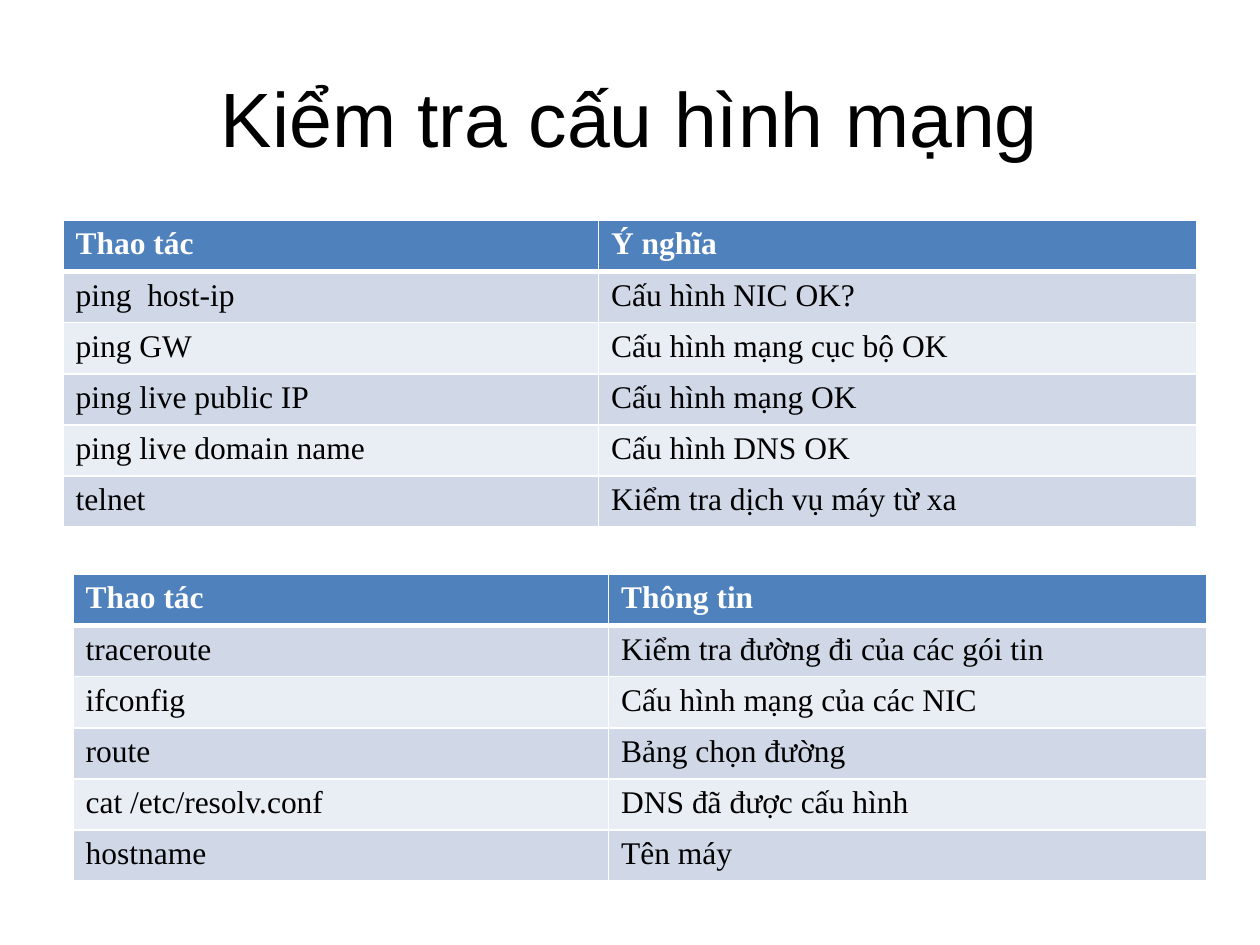
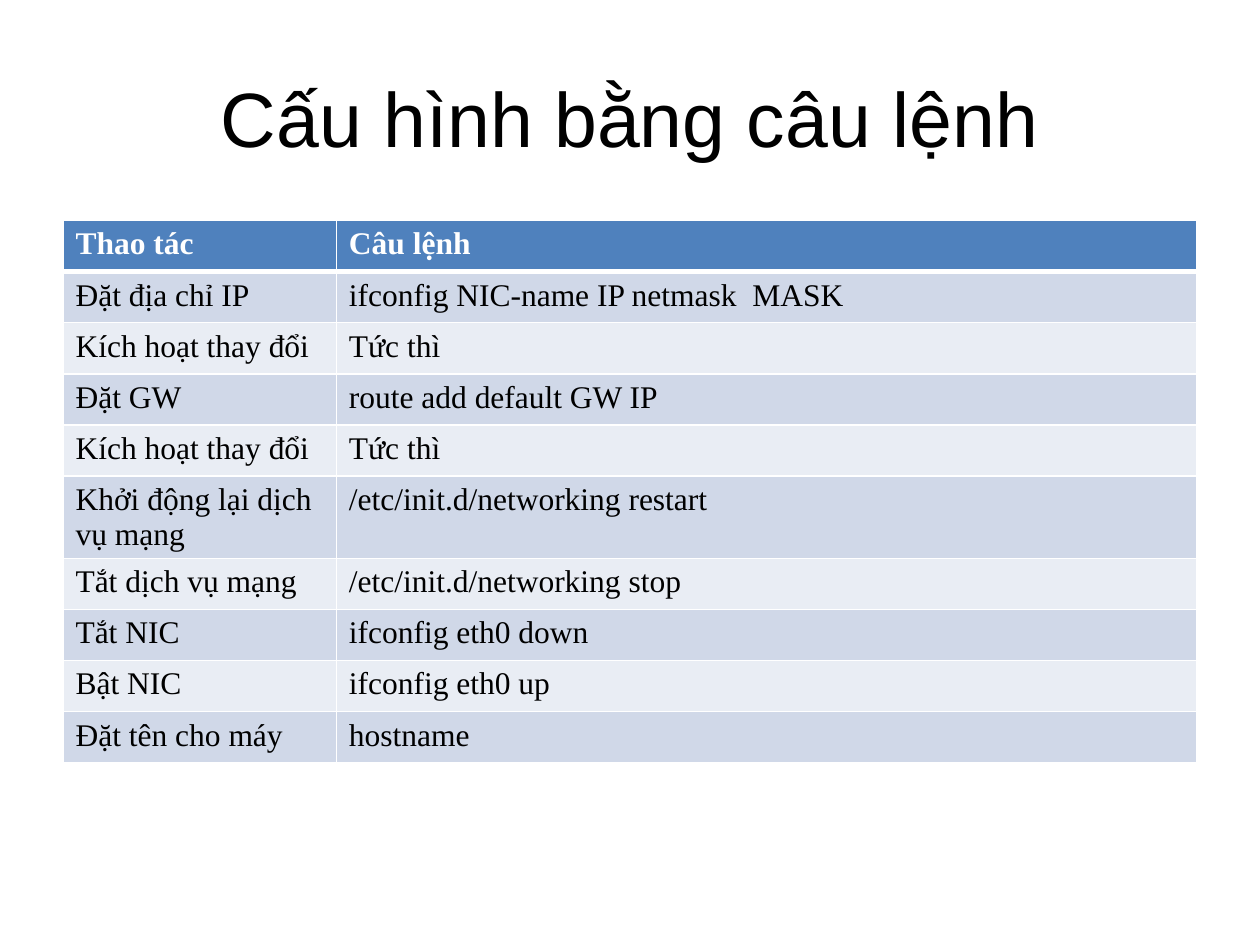
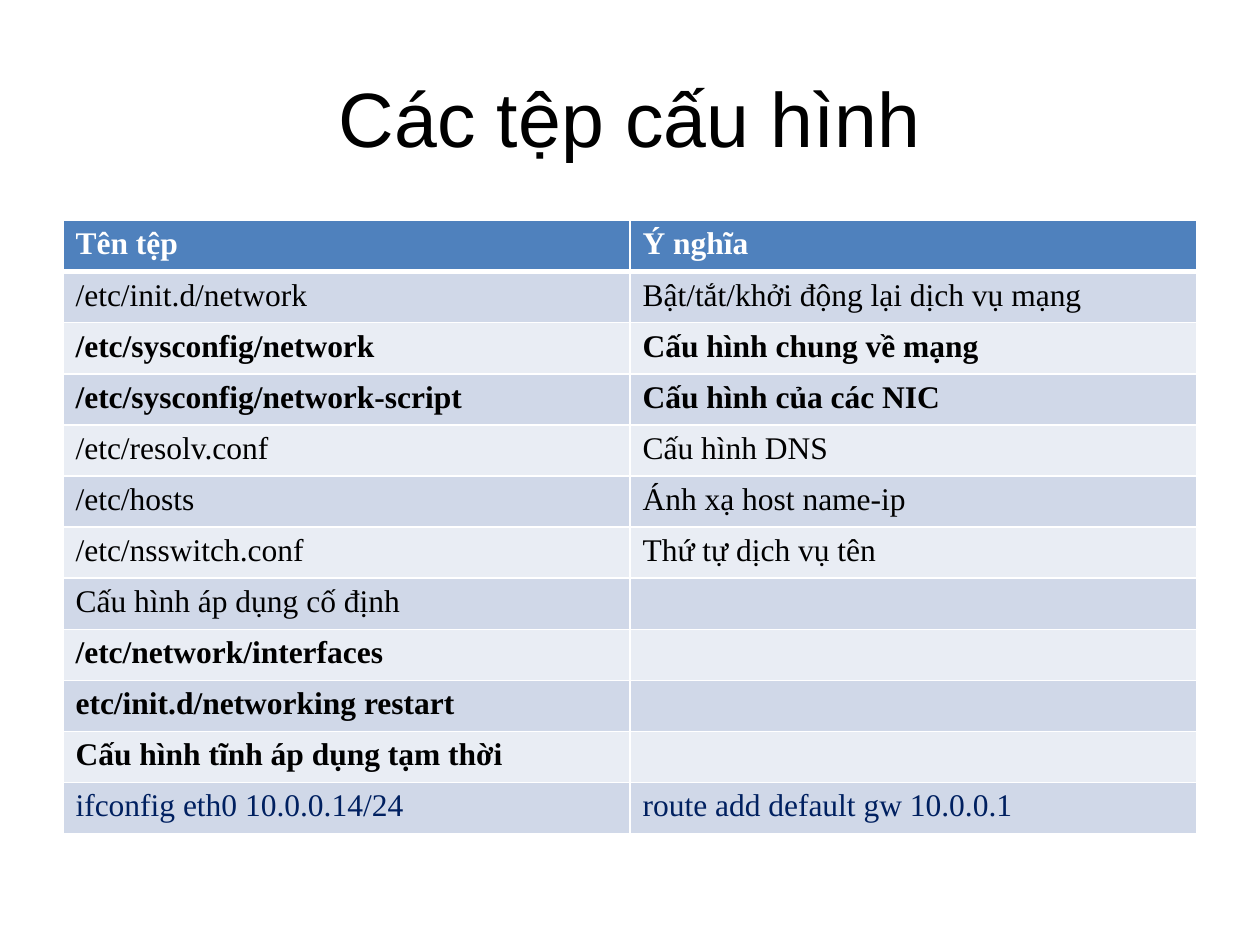
from dataclasses import dataclass

import pptx
import pptx.dml.color
import pptx.enum.text
import pptx.oxml
import pptx.oxml.ns
import pptx.presentation
import pptx.slide
import pptx.table
import pptx.util

Inches = pptx.util.Inches
Pt = pptx.util.Pt
RGBColor = pptx.dml.color.RGBColor


@dataclass(frozen=True)
class Theme:
    title_font: str = "Arial"
    body_font: str = "Times New Roman"
    title_size: int = 44
    body_size: int = 18
    ink: str = "000000"
    navy: str = "002060"
    white: str = "FFFFFF"
    header_fill: str = "4F81BD"
    band_fills: tuple[str, str] = ("D0D8E8", "E9EDF4")
    rule_width: int = 1
    header_rule_width: int = 3


THEME = Theme()
ROW_HEIGHT = Inches(4.87) // 12
TITLE_BOX = {"left": Inches(0.5), "top": Inches(0.3),
             "width": Inches(9), "height": Inches(1.25)}


@dataclass(frozen=True)
class Row:
    left: str
    right: str = ""
    bold: bool = False
    color: str = THEME.ink


@dataclass(frozen=True)
class Grid:
    header: tuple[str, str]
    rows: tuple[Row, ...]
    widths: tuple[float, float]
    left: float = 0.5
    top: float = 1.75


@dataclass(frozen=True)
class Topic:
    title: str
    grids: tuple[Grid, ...]


TOPICS = (
    Topic("Kiểm tra cấu hình mạng", (
        Grid(("Thao tác", "Ý nghĩa"), (
            Row("ping  host-ip", "Cấu hình NIC OK?"),
            Row("ping GW", "Cấu hình mạng cục bộ OK"),
            Row("ping live public IP", "Cấu hình mạng OK"),
            Row("ping live domain name", "Cấu hình DNS OK"),
            Row("telnet", "Kiểm tra dịch vụ máy từ xa"),
        ), widths=(4.25, 4.75)),
        Grid(("Thao tác", "Thông tin"), (
            Row("traceroute", "Kiểm tra đường đi của các gói tin"),
            Row("ifconfig", "Cấu hình mạng của các NIC"),
            Row("route", "Bảng chọn đường"),
            Row("cat /etc/resolv.conf", "DNS đã được cấu hình"),
            Row("hostname", "Tên máy"),
        ), widths=(4.25, 4.75), left=0.58, top=4.56),
    )),
    Topic("Cấu hình bằng câu lệnh", (
        Grid(("Thao tác", "Câu lệnh"), (
            Row("Đặt địa chỉ IP", "ifconfig NIC-name IP netmask  MASK"),
            Row("Kích hoạt thay đổi", "Tức thì"),
            Row("Đặt GW", "route add default GW IP"),
            Row("Kích hoạt thay đổi", "Tức thì"),
            Row("Khởi động lại dịch vụ mạng", "/etc/init.d/networking restart"),
            Row("Tắt dịch vụ mạng", "/etc/init.d/networking stop"),
            Row("Tắt NIC", "ifconfig eth0 down"),
            Row("Bật NIC", "ifconfig eth0 up"),
            Row("Đặt tên cho máy", "hostname"),
        ), widths=(2.17, 6.83)),
    )),
    Topic("Các tệp cấu hình", (
        Grid(("Tên tệp", "Ý nghĩa"), (
            Row("/etc/init.d/network", "Bật/tắt/khởi động lại dịch vụ mạng"),
            Row("/etc/sysconfig/network", "Cấu hình chung về mạng", bold=True),
            Row("/etc/sysconfig/network-script", "Cấu hình của các NIC", bold=True),
            Row("/etc/resolv.conf", "Cấu hình DNS"),
            Row("/etc/hosts", "Ánh xạ host name-ip"),
            Row("/etc/nsswitch.conf", "Thứ tự dịch vụ tên"),
            Row("Cấu hình áp dụng cố định"),
            Row("/etc/network/interfaces", bold=True),
            Row("etc/init.d/networking restart", bold=True),
            Row("Cấu hình tĩnh áp dụng tạm thời", bold=True),
            Row("ifconfig eth0 10.0.0.14/24", "route add default gw 10.0.0.1",
                color=THEME.navy),
        ), widths=(4.5, 4.5)),
    )),
)


def write(paragraph, text: str, font: str, size: int, color: str,
          bold: bool = False) -> None:
    run = paragraph.add_run()
    run.text = text
    for attribute, value in {"name": font, "size": Pt(size), "bold": bold}.items():
        setattr(run.font, attribute, value)
    run.font.color.rgb = RGBColor.from_string(color)


def rule_cell(cell: pptx.table._Cell, row_index: int) -> None:
    """Draw white borders, with a thicker one below the header row."""
    widths = dict.fromkeys(("lnL", "lnR", "lnT", "lnB"), THEME.rule_width)
    if row_index < 2:
        widths["lnB" if row_index == 0 else "lnT"] = THEME.header_rule_width
    properties = cell._tc.get_or_add_tcPr()
    for side, width in widths.items():
        properties.append(pptx.oxml.parse_xml(
            f'<a:{side} {pptx.oxml.ns.nsdecls("a")} w="{Pt(width)}"><a:solidFill>'
            f'<a:srgbClr val="{THEME.white}"/></a:solidFill></a:{side}>'))


def add_grid(slide: pptx.slide.Slide, grid: Grid) -> None:
    header = Row(*grid.header, bold=True, color=THEME.white)
    rows = (header, *grid.rows)
    table = slide.shapes.add_table(
        len(rows), len(grid.widths), Inches(grid.left), Inches(grid.top),
        Inches(sum(grid.widths)), ROW_HEIGHT * len(rows)).table
    for column, width in zip(table.columns, grid.widths):
        column.width = Inches(width)
    for row_index, row in enumerate(rows):
        table.rows[row_index].height = ROW_HEIGHT
        fill = THEME.band_fills[(row_index - 1) % 2] if row_index else THEME.header_fill
        for column_index, text in enumerate((row.left, row.right)):
            cell = table.cell(row_index, column_index)
            rule_cell(cell, row_index)
            cell.fill.solid()
            cell.fill.fore_color.rgb = RGBColor.from_string(fill)
            if text:
                write(cell.text_frame.paragraphs[0], text, THEME.body_font,
                      THEME.body_size, row.color, row.bold)


def add_topic(deck: pptx.presentation.Presentation, topic: Topic) -> None:
    slide = deck.slides.add_slide(deck.slide_layouts[5])
    title = slide.shapes.title
    for attribute, value in TITLE_BOX.items():
        setattr(title, attribute, value)
    title.text_frame.vertical_anchor = pptx.enum.text.MSO_ANCHOR.MIDDLE
    heading = title.text_frame.paragraphs[0]
    heading.alignment = pptx.enum.text.PP_ALIGN.CENTER
    write(heading, topic.title, THEME.title_font, THEME.title_size, THEME.ink)
    for grid in topic.grids:
        add_grid(slide, grid)


def main() -> None:
    deck = pptx.Presentation()
    deck.slide_width = Inches(10)
    deck.slide_height = Inches(7.5)
    for topic in TOPICS:
        add_topic(deck, topic)
    deck.save("out.pptx")


if __name__ == "__main__":
    main()
